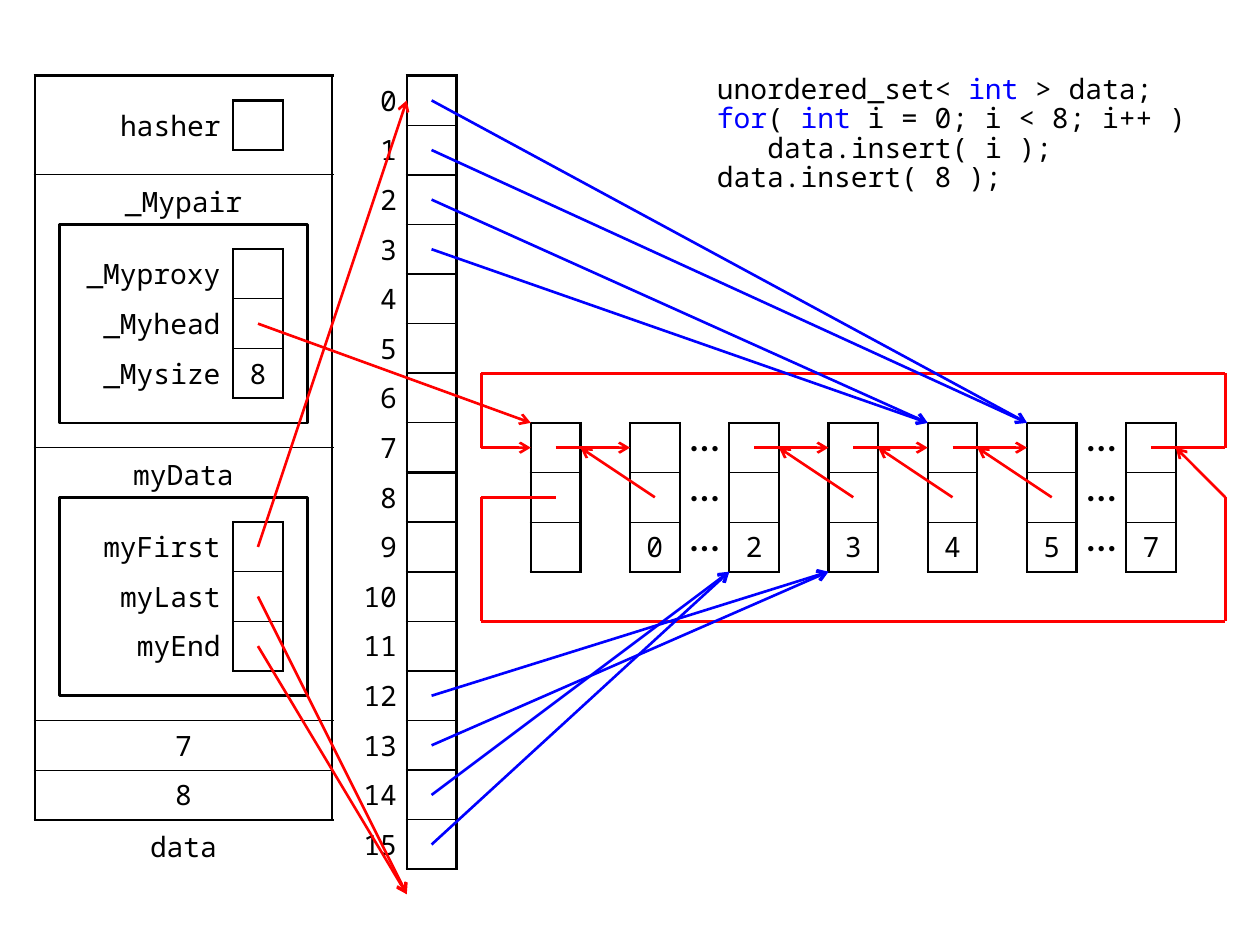
import dataclasses
import itertools

import pptx
import pptx.dml.color
import pptx.enum.shapes
import pptx.enum.text
import pptx.oxml
import pptx.oxml.ns
import pptx.util

Pt = pptx.util.Pt
RGB = pptx.dml.color.RGBColor
ALIGN = pptx.enum.text.PP_ALIGN
ANCHOR = pptx.enum.text.MSO_ANCHOR
NS = pptx.oxml.ns.nsdecls("a")
qn = pptx.oxml.ns.qn


@dataclasses.dataclass(frozen=True)
class Theme:
    black: str = "000000"
    white: str = "FFFFFF"
    red: str = "FF0000"
    blue: str = "0000FF"
    mono: str = "Noto Sans Mono"
    serif: str = "Cambria"
    text: float = 16
    dots: float = 18
    thick: float = 1.5
    thin: float = 0.75
    # Grid: positions and sizes are counted in steps from this origin
    step: float = 28.35 / 2
    left: float = 19.84
    top: float = 43.2


def assign(obj, values):
    for name, value in values.items():
        setattr(obj, name, value)


class Diagram:
    def __init__(self, slide, theme):
        self.s, self.t = slide, theme

    def size(self, *steps):
        return [Pt(n * self.t.step) for n in steps]

    def point(self, x, y):
        return Pt(self.t.left + x * self.t.step), Pt(self.t.top + y * self.t.step)

    def add_text(self, p, text, color=None, **font):
        r = p.add_run()
        r.text = text
        assign(r.font, {"name": self.t.mono, "size": Pt(self.t.text), **font})
        r.font.color.rgb = RGB.from_string(color or self.t.black)

    def label(self, x, y, w, h, text):
        tf = self.s.shapes.add_textbox(*self.point(x, y), *self.size(w, h)).text_frame
        assign(tf, {"word_wrap": False, "vertical_anchor": ANCHOR.BOTTOM})
        p = tf.paragraphs[0]
        p.alignment = ALIGN.CENTER
        self.add_text(p, text)

    def code(self, x, y, w, h, lines):
        """Each line is (indent in points, [(text, color), ...])."""
        tf = self.s.shapes.add_textbox(*self.point(x, y), *self.size(w, h)).text_frame
        assign(tf, {"word_wrap": False, "margin_top": 0, "margin_bottom": 0})
        for i, (indent, runs) in enumerate(lines):
            p = tf.add_paragraph() if i else tf.paragraphs[0]
            p.line_spacing = 0.88
            if indent:
                p._p.get_or_add_pPr().set("marL", str(Pt(indent)))
            for text, color in runs:
                self.add_text(p, text, color)

    def frame(self, x, y, w, h):
        sp = self.s.shapes.add_shape(pptx.enum.shapes.MSO_SHAPE.RECTANGLE,
                                     *self.point(x, y), *self.size(w, h))
        sp.shadow.inherit = False
        sp.fill.solid()
        sp.fill.fore_color.rgb = RGB.from_string(self.t.white)
        sp.line.color.rgb = RGB.from_string(self.t.black)
        sp.line.width = Pt(self.t.thick)

    def arrow(self, color, *points):
        """Straight segments through the points, with a head on the last."""
        for start, end in itertools.pairwise(points):
            c = self.s.shapes.add_connector(pptx.enum.shapes.MSO_CONNECTOR.STRAIGHT,
                                            *self.point(*start), *self.point(*end))
            c.line.color.rgb = RGB.from_string(color)
            c.line.width = Pt(self.t.thick)
            spPr = c.element.spPr
            spPr.append(pptx.oxml.parse_xml(f"<a:effectLst {NS}/>"))
        spPr.find(qn("a:ln")).append(
            pptx.oxml.parse_xml(f'<a:tailEnd {NS} type="arrow"/>'))

    def borders(self, cell, **widths):
        """Widths by side (L, R, T, B); a side without one has no line."""
        cell.fill.background()
        tcPr = cell._tc.get_or_add_tcPr()
        for i, side in enumerate("LRTB"):
            width = widths.get(side)
            fill = (f'<a:solidFill><a:srgbClr val="{self.t.black}"/></a:solidFill>'
                    if width else "<a:noFill/>")
            tcPr.insert(i, pptx.oxml.parse_xml(
                f'<a:ln{side} {NS} w="{Pt(width or 0)}">{fill}</a:ln{side}>'))

    def table(self, x, y, widths, heights, rows, group=None, gap=7.2, boxed=True, **font):
        """The last column is boxed; a column before it holds names."""
        group = group or len(rows)
        tb = self.s.shapes.add_table(
            len(rows), len(widths), *self.point(x, y),
            *self.size(sum(widths), sum(heights))).table
        assign(tb, {"first_row": False, "horz_banding": False})
        for col, width in zip(tb.columns, self.size(*widths)):
            col.width = width
        for row, height in zip(tb.rows, self.size(*heights)):
            row.height = height
        thick, thin = self.t.thick, self.t.thin
        for i, row in enumerate(rows):
            for j, text in enumerate(row):
                cell = tb.cell(i, j)
                is_name = j < len(row) - 1
                assign(cell, {"margin_left": 0, "margin_right": Pt(gap if is_name else 0),
                              "margin_top": Pt(2.88), "margin_bottom": Pt(2.88),
                              "vertical_anchor": ANCHOR.MIDDLE})
                if is_name:
                    self.borders(cell, R=thick)
                elif boxed:
                    self.borders(cell, L=thick, R=thick,
                                 T=thin if i % group else thick,
                                 B=thin if (i + 1) % group else thick)
                else:
                    self.borders(cell)
                if text:
                    p = cell.text_frame.paragraphs[0]
                    p.alignment = ALIGN.RIGHT if is_name else ALIGN.CENTER
                    self.add_text(p, text, **font)


def main():
    prs = pptx.Presentation()
    assign(prs, {"slide_width": Pt(720), "slide_height": Pt(540)})
    t = Theme()
    d = Diagram(prs.slides.add_slide(prs.slide_layouts[6]), t)

    # List nodes, with dots where nodes are left out
    nodes = dict(zip(range(20, 48, 4), ["", "0", "2", "3", "4", "5", "7"]))
    for x, value in nodes.items():
        d.table(x, 14, [2], [2] * 3, [[""], [""], [value]])
    for x in (26, 42):
        d.table(x, 14, [2], [2] * 3, [["⋯"]] * 3, boxed=False,
                name=t.serif, size=Pt(t.dots), bold=True)

    # Next and previous links
    for x in (20, 28, 32, 36):
        d.arrow(t.red, (x + 1, 15), (x + 4, 15))
        d.arrow(t.red, (x + 5, 17), (x + 2, 15))
    d.arrow(t.red, (45, 15), (48, 15), (48, 12), (18, 12), (18, 15), (20, 15))
    d.arrow(t.red, (21, 17), (18, 17), (18, 22), (48, 22), (48, 17), (46, 15))

    # Buckets and the nodes they point to
    d.table(12, 0, [3, 2], [2] * 16, [[str(n), ""] for n in range(16)], group=2, gap=5.67)
    targets = {0: (40, 14), 1: (40, 14), 2: (36, 14), 3: (36, 14),
               12: (32, 20), 13: (32, 20), 14: (28, 20), 15: (28, 20)}
    for bucket, target in targets.items():
        d.arrow(t.blue, (16, 2 * bucket + 1), target)

    # Code
    d.code(27, 0, 20, 6, [
        (0, [("unordered_set< ", t.black), ("int", t.blue), (" > data;", t.black)]),
        (0, [("for", t.blue), ("( ", t.black), ("int ", t.blue),
             ("i = 0; i < 8; i++ )", t.black)]),
        (28.8, [("data.insert( i );", t.black)]),
        (0, [("data.insert( 8 );", t.black)]),
    ])

    # The data object and its parts
    d.table(0, 0, [12], [4, 11, 11, 2, 2], [[""], [""], [""], ["7"], ["8"]])
    for y in (6, 17):
        d.frame(1, y, 10, 8)
    d.table(2, 1, [6, 2], [2], [["hasher", ""]])
    d.table(1, 7, [7, 2], [2] * 3, [["_Myproxy", ""], ["_Myhead", ""], ["_Mysize", "8"]])
    d.table(2, 18, [6, 2], [2] * 3, [["myFirst", ""], ["myLast", ""], ["myEnd", ""]])
    d.label(3, 4, 6, 2, "_Mypair")
    d.label(3, 15, 6, 2, "myData")
    d.label(4, 30, 4, 2, "data")

    # Pointers out of the data object
    d.arrow(t.red, (9, 10), (20, 14))
    for y, end in ((19, 1), (21, 33), (23, 33)):
        d.arrow(t.red, (9, y), (15, end))

    prs.save("out.pptx")


if __name__ == "__main__":
    main()
